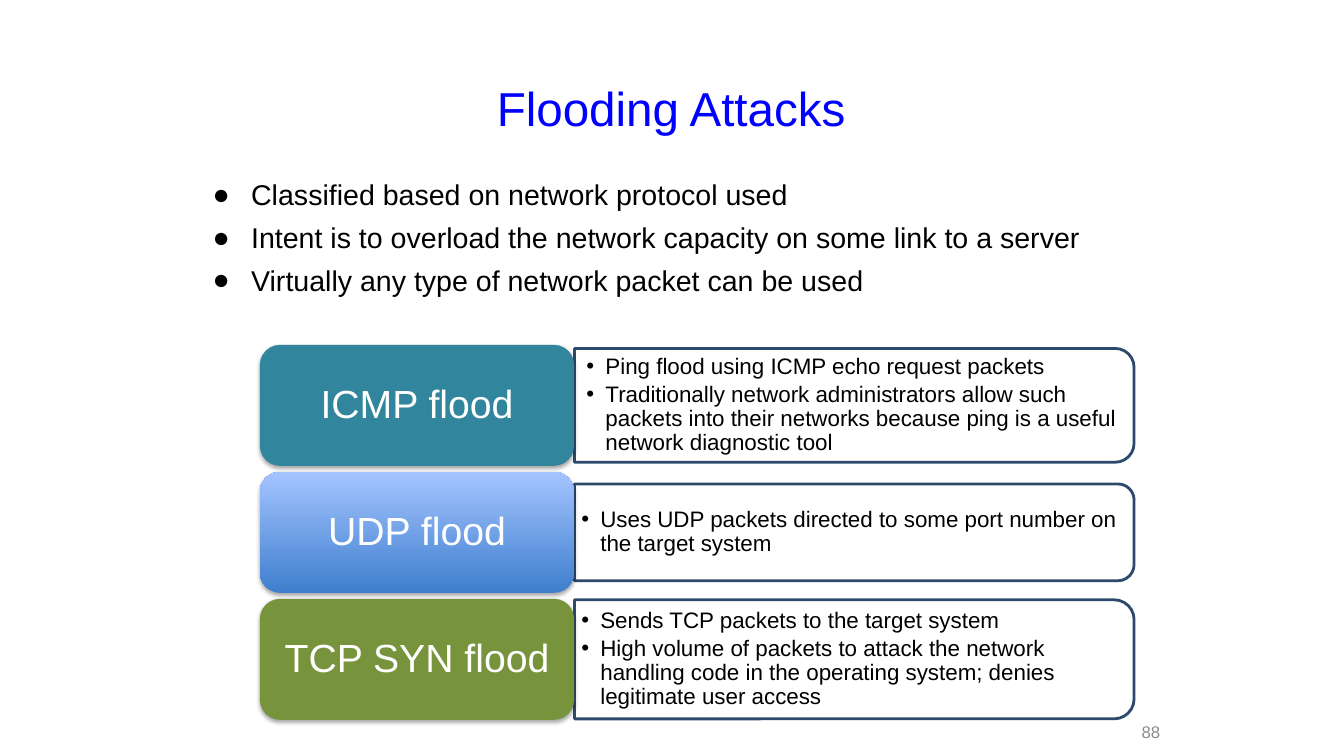
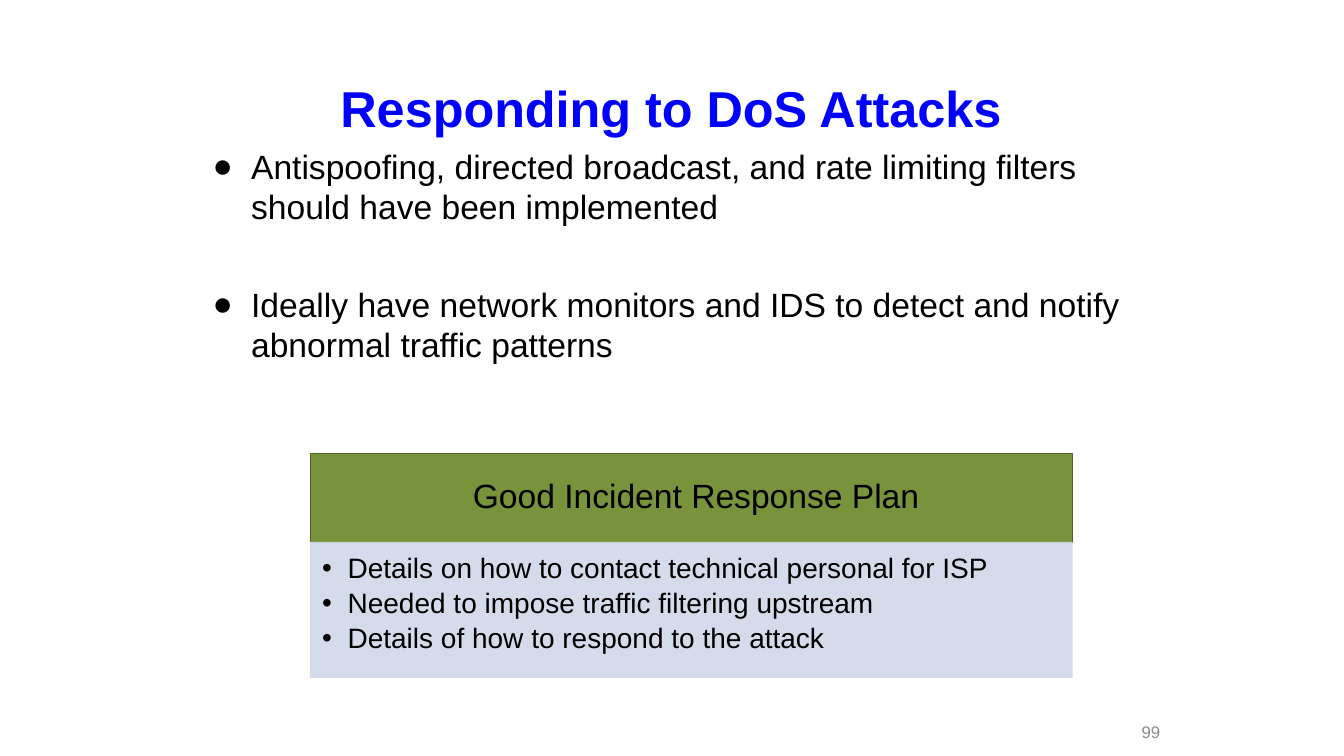
from lxml.etree import SubElement
from pptx import Presentation
from pptx.dml.color import RGBColor
from pptx.enum.shapes import MSO_SHAPE
from pptx.enum.text import MSO_ANCHOR, MSO_AUTO_SIZE, PP_ALIGN
from pptx.oxml.ns import qn
from pptx.util import Cm, Pt

COLORS = {
    "title": "0000FF",
    "text": "000000",
    "white": "FFFFFF",
    "page": "8C8C8C",
    "outline": "17375E",
    "teal": "31859C",
    "blue_dark": "3F7FCE",
    "blue_light": "A4C4FF",
    "green": "77933C",
    "green_dark": "4F6228",
    "pale": "D0D8E8",
}
COLORS = {name: RGBColor.from_string(value) for name, value in COLORS.items()}
FONT = "Arial"


def write_text(shape, lines, size, color="text", align=PP_ALIGN.LEFT, anchor=MSO_ANCHOR.TOP,
               insets=(0.25, 0.25, 0.25, 0.25), bullet=None, indent=0, gap=0, spacing=None, bold=False):
    frame = shape.text_frame
    frame.word_wrap = True
    frame.auto_size = MSO_AUTO_SIZE.NONE
    frame.vertical_anchor = anchor
    frame.margin_left, frame.margin_top, frame.margin_right, frame.margin_bottom = map(Cm, insets)
    frame.text = "\n".join(lines)
    for paragraph in frame.paragraphs:
        paragraph.alignment = align
        paragraph.space_after = Pt(gap)
        paragraph.line_spacing = spacing
        if bullet:
            properties = paragraph._p.get_or_add_pPr()
            properties.set("marL", str(Cm(indent)))
            properties.set("indent", str(-Cm(indent)))
            SubElement(properties, qn("a:buFont"), typeface=FONT)
            SubElement(properties, qn("a:buChar"), char=bullet)
        for run in paragraph.runs:
            run.font.name = FONT
            run.font.size = Pt(size)
            run.font.bold = bold
            run.font.color.rgb = COLORS[color]


def fade(element):
    for color in element.iter(qn("a:srgbClr")):
        SubElement(color, qn("a:alpha"), val="90000")


presentation = Presentation()
presentation.slide_width = Cm(33.87)
presentation.slide_height = Cm(19.05)

slide_contents = [
    ("Flooding Attacks", 34, False, "88", 4.22, 3.73, 20.4, 6, [
        "Classified based on network protocol used",
        "Intent is to overload the network capacity on some link to a server",
        "Virtually any type of network packet can be used",
    ]),
    ("Responding to DoS Attacks", 36, True, "99", 3.43, 7.5, 24, 41, [
        "Antispoofing, directed broadcast, and rate limiting filters should have been implemented",
        "Ideally have network monitors and IDS to detect and notify abnormal traffic patterns",
    ]),
]
for title, title_size, bold, page, body_top, body_height, body_size, gap, points in slide_contents:
    slide = presentation.slides.add_slide(presentation.slide_layouts[5])
    heading = slide.shapes.title
    heading.left, heading.top, heading.width, heading.height = Cm(1.14), Cm(1.65), Cm(31.55), Cm(2.13)
    write_text(heading, [title], title_size, "title", PP_ALIGN.CENTER, MSO_ANCHOR.MIDDLE, bold=bold)
    body = slide.shapes.add_textbox(Cm(5.11), Cm(body_top), Cm(23.67), Cm(body_height))
    write_text(body, points, body_size, bullet="●", indent=0.97, gap=gap)
    number = slide.shapes.add_textbox(Cm(27.76), Cm(18.24), Cm(1.73), Cm(0.38))
    write_text(number, [page], 12, "page", PP_ALIGN.RIGHT, MSO_ANCHOR.MIDDLE, (0.25, 0.13, 0.25, 0.13))

flooding_slide, response_slide = presentation.slides

PILL_LEFT, PILL_TOP, PILL_WIDTH, PILL_HEIGHT, ROW_PITCH = 6.55, 8.69, 7.92, 3.05, 3.2
PANEL_LEFT, PANEL_WIDTH = 14.48, 14.1
floods = [
    ("ICMP flood", "teal", 2.87, (0.3, 0.15, 0.3, 0.15), [
        "Ping flood using ICMP echo request packets",
        "Traditionally network administrators allow such packets into their networks "
        "because ping is a useful network diagnostic tool",
    ]),
    ("UDP flood", None, 2.44, (0.17, 0.08, 0.17, 0.08), [
        "Uses UDP packets directed to some port number on the target system",
    ]),
    ("TCP SYN flood", "green", 3, (0.17, 0.08, 0.17, 0.08), [
        "Sends TCP packets to the target system",
        "High volume of packets to attack the network handling code in the operating system; "
        "denies legitimate user access",
    ]),
]
for row, (name, color, panel_height, insets, details) in enumerate(floods):
    top = PILL_TOP + row * ROW_PITCH
    middle = top + PILL_HEIGHT / 2
    panel = flooding_slide.shapes.add_shape(
        MSO_SHAPE.ROUND_2_SAME_RECTANGLE,
        Cm(PANEL_LEFT + (PANEL_WIDTH - panel_height) / 2), Cm(middle - PANEL_WIDTH / 2),
        Cm(panel_height), Cm(PANEL_WIDTH))
    panel.rotation = 90
    panel.shadow.inherit = False
    panel.fill.solid()
    panel.fill.fore_color.rgb = COLORS["white"]
    panel.line.color.rgb = COLORS["outline"]
    panel.line.width = Pt(2)
    fade(panel.element.spPr.find(qn("a:ln")))

    detail_box = flooding_slide.shapes.add_textbox(
        Cm(PANEL_LEFT), Cm(middle - panel_height / 2), Cm(13.95), Cm(panel_height))
    write_text(detail_box, details, 16, anchor=MSO_ANCHOR.MIDDLE, insets=insets,
               bullet="•", indent=0.48, gap=2.8, spacing=0.9)

    pill = flooding_slide.shapes.add_shape(
        MSO_SHAPE.ROUNDED_RECTANGLE, Cm(PILL_LEFT), Cm(top), Cm(PILL_WIDTH), Cm(PILL_HEIGHT))
    if color:
        pill.fill.solid()
        pill.fill.fore_color.rgb = COLORS[color]
    else:
        pill.fill.gradient()
        pill.fill.gradient_angle = 90
        for stop, shade in zip(pill.fill.gradient_stops, ("blue_dark", "blue_light")):
            stop.color.rgb = COLORS[shade]
    pill.line.fill.background()
    pill.shadow.inherit = False
    effects = pill.element.spPr.find(qn("a:effectLst"))
    shadow = SubElement(effects, qn("a:outerShdw"), blurRad=str(Pt(3.1)), dist=str(Pt(1.8)),
                        dir="5400000", rotWithShape="0")
    shadow_color = SubElement(shadow, qn("a:srgbClr"), val="000000")
    SubElement(shadow_color, qn("a:alpha"), val="35000")
    write_text(pill, [name], 28, "white", PP_ALIGN.CENTER, MSO_ANCHOR.MIDDLE,
               (0.3, 0.15, 0.3, 0.15), spacing=0.9)

plan_header, plan_panel = [
    response_slide.shapes.add_shape(MSO_SHAPE.RECTANGLE, Cm(7.82), Cm(top), Cm(19.2), Cm(height))
    for top, height in ((11.43, 2.24), (13.67, 3.4))
]
for shape, fill, line in ((plan_header, "green", "green_dark"), (plan_panel, "pale", "pale")):
    shape.shadow.inherit = False
    shape.fill.solid()
    shape.fill.fore_color.rgb = COLORS[fill]
    shape.line.color.rgb = COLORS[line]
    shape.line.width = Pt(0.75)
fade(plan_panel.element.spPr)
write_text(plan_header, ["Good Incident Response Plan"], 24, align=PP_ALIGN.CENTER,
           anchor=MSO_ANCHOR.MIDDLE, insets=(0.72, 0.28, 0.48, 0.28), spacing=0.9)
write_text(plan_panel, [
    "Details on how to contact technical personal for ISP",
    "Needed to impose traffic filtering upstream",
    "Details of how to respond to the attack",
], 20, insets=(0.3, 0.3, 0.41, 0.43), bullet="•", indent=0.64, gap=3.5, spacing=0.9)

presentation.save("out.pptx")
